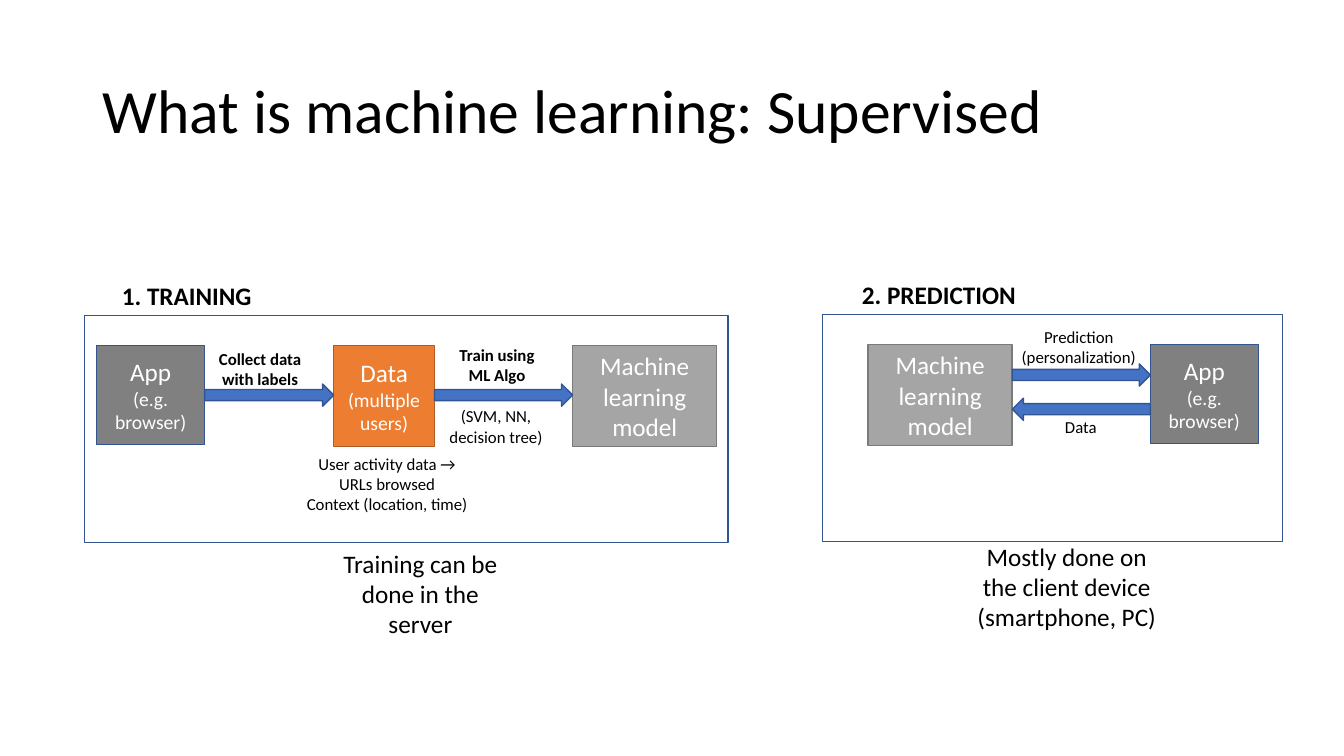
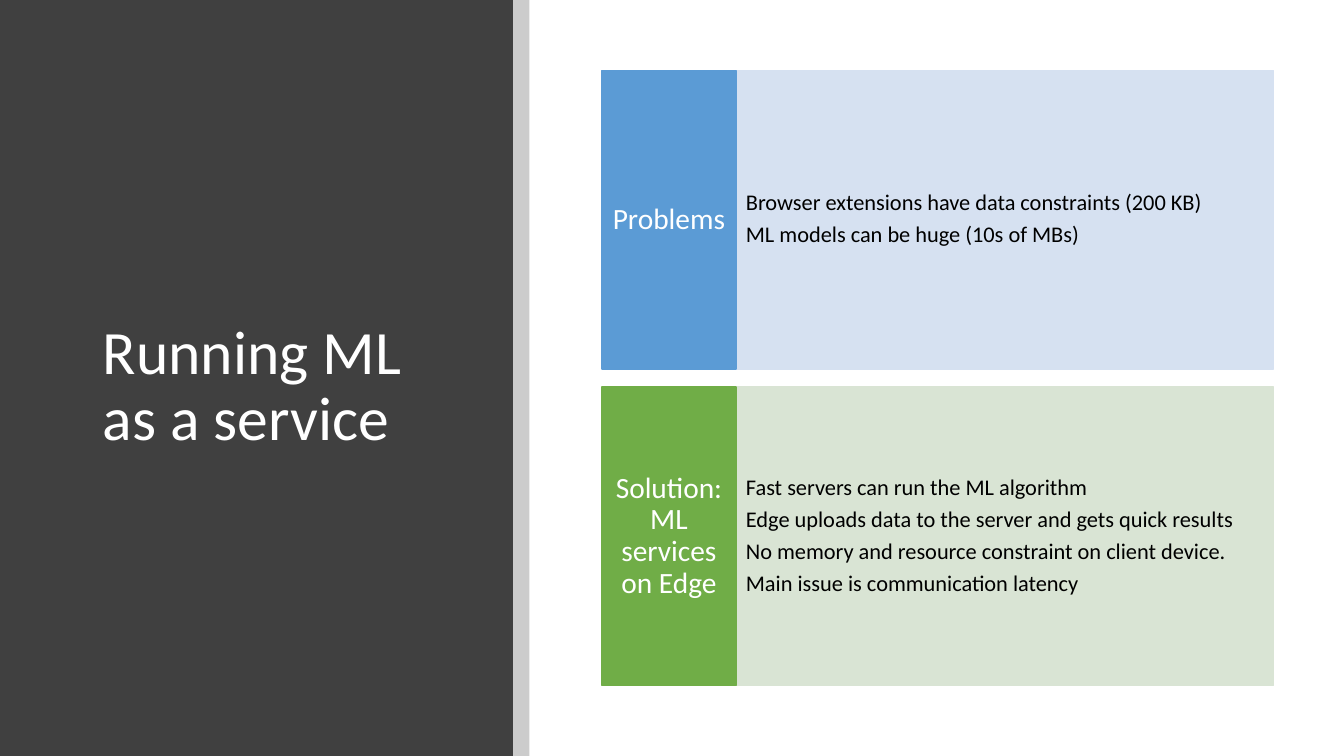
from pptx import Presentation
from pptx.dml.color import RGBColor
from pptx.enum.shapes import MSO_SHAPE
from pptx.enum.text import MSO_ANCHOR, PP_ALIGN
from pptx.util import Inches, Pt

RECTANGLE = MSO_SHAPE.RECTANGLE
RIGHT, LEFT = MSO_SHAPE.RIGHT_ARROW, MSO_SHAPE.LEFT_ARROW
TOP, MIDDLE = MSO_ANCHOR.TOP, MSO_ANCHOR.MIDDLE
ALIGN_LEFT, CENTER = PP_ALIGN.LEFT, PP_ALIGN.CENTER

WIDTH, HEIGHT = 13.33, 7.5
FONT = "Calibri"
BLACK, WHITE = "000000", "FFFFFF"
BLUE, BLUE_EDGE = "4472C4", "325491"
DARK, STRIPE = "404040", "CCCCCC"
MARGIN = 0.92
TITLE_SIZE, HEAD_SIZE, DETAIL_SIZE, LABEL_SIZE = 44, 18, 14, 12
BOX_OFFSET, ARROW_HEIGHT = 0.3, 0.22

# Node: heading, detail, width, height, fill, edge
APP = ("App", "(e.g. browser)", 1.07, 0.98, "808080", BLUE_EDGE)
DATA = ("Data", "(multiple users)", 1.0, 1.0, "ED7D31", "AF5C24")
MODEL = ("Machine learning model", "", 1.43, 1.0, "A5A5A5", "7A7A7A")

# Positions inside a panel are measured from its top left corner.
# Arrow: gap number, top, shape.  Label: centre, top, bold, lines.
PANELS = [
    {
        "heading": "1. TRAINING", "heading_left": 0.27,
        "frame": (0.84, 3.13, 6.38, 2.25),
        "nodes": [APP, DATA, MODEL], "start": 0.12, "gaps": [1.28, 1.37],
        "arrows": [(0, 0.68, RIGHT), (1, 0.68, RIGHT)],
        "labels": [
            (1.74, 0.28, True, ["Collect data", "with labels"]),
            (4.09, 0.24, True, ["Train using", "ML Algo"]),
            (4.08, 0.85, False, ["(SVM, NN,", "decision tree)"]),
            (3.0, 1.32, False, ["User activity data →", "URLs browsed",
                                "Context (location, time)"]),
        ],
        "caption": (3.33, 2.26, ["Training can be done in the server"]),
    },
    {
        "heading": "2. PREDICTION", "heading_left": 0.29,
        "frame": (8.16, 3.12, 4.56, 2.25),
        "nodes": [MODEL, APP], "start": 0.45, "gaps": [1.37],
        "arrows": [(0, 0.49, RIGHT), (0, 0.83, LEFT)],
        "labels": [
            (2.54, 0.07, False, ["Prediction", "(personalization)"]),
            (2.56, 0.97, False, ["Data"]),
        ],
        "caption": (2.42, 2.2, ["Mostly done on the client device",
                                "(smartphone, PC)"]),
    },
]

# Row: name, name fill, body fill, statements
SERVICE_ROWS = [
    ("Problems", "5B9BD5", "D6E1F1", [
        "Browser extensions have data constraints (200 KB)",
        "ML models can be huge (10s of MBs)",
    ]),
    ("Solution: ML services on Edge", "70AD47", "D9E4D4", [
        "Fast servers can run the ML algorithm",
        "Edge uploads data to the server and gets quick results",
        "No memory and resource constraint on client device.",
        "Main issue is communication latency",
    ]),
]


def rgb(value):
    return RGBColor.from_string(value)


def add_lines(shape, lines, sizes, color, align=ALIGN_LEFT, anchor=MIDDLE,
              bold=False, wrap=True, spacing=1.0, after=0, side=0.1):
    """Fill a shape with one paragraph per line; sizes match the lines."""
    frame = shape.text_frame
    frame.word_wrap = wrap
    frame.vertical_anchor = anchor
    frame.margin_left = frame.margin_right = Inches(side)
    frame.text = "\n".join(lines)
    for paragraph, size in zip(frame.paragraphs, sizes):
        paragraph.alignment = align
        paragraph.line_spacing = spacing
        paragraph.space_after = Pt(after)
        for run in paragraph.runs:
            run.font.name = FONT
            run.font.size = Pt(size)
            run.font.bold = bold
            run.font.color.rgb = rgb(color)


def add_shape(slide, kind, area, fill=None, edge=None):
    shape = slide.shapes.add_shape(kind, *map(Inches, area))
    shape.shadow.inherit = False
    if fill:
        shape.fill.solid()
        shape.fill.fore_color.rgb = rgb(fill)
    else:
        shape.fill.background()
    if edge:
        shape.line.color.rgb = rgb(edge)
        shape.line.width = Pt(1)
    else:
        shape.line.fill.background()
    return shape


def add_text(slide, area, lines, size, color=BLACK, **style):
    box = slide.shapes.add_textbox(*map(Inches, area))
    add_lines(box, lines, [size] * len(lines), color, **style)


def add_title(slide, area, text, color):
    add_text(slide, area, [text], TITLE_SIZE, color, spacing=0.9)


def add_centered(slide, center, top, lines, size, bold=False):
    """Place unwrapped lines around a vertical axis."""
    width = 2.0
    height = 0.1 + len(lines) * size * 1.22 / 72
    add_text(slide, (center - width / 2, top, width, height), lines, size,
             align=CENTER, anchor=TOP, bold=bold, wrap=False)


def add_panel(slide, panel):
    left, top, width, height = panel["frame"]
    add_shape(slide, RECTANGLE, panel["frame"], edge=BLUE_EDGE)
    add_text(slide, (left + panel["heading_left"], top - 0.4, 1.75, 0.4),
             [panel["heading"]], HEAD_SIZE, anchor=TOP, bold=True, wrap=False)

    node_left = left + panel["start"]
    gap_starts = []
    for node, gap in zip(panel["nodes"], panel["gaps"] + [0]):
        heading, detail, node_width, node_height, fill, edge = node
        area = (node_left, top + BOX_OFFSET, node_width, node_height)
        box = add_shape(slide, RECTANGLE, area, fill, edge)
        lines = [heading, detail] if detail else [heading]
        add_lines(box, lines, [HEAD_SIZE, DETAIL_SIZE], WHITE, align=CENTER)
        gap_starts.append(node_left + node_width)
        node_left += node_width + gap

    for gap, offset, kind in panel["arrows"]:
        area = (gap_starts[gap], top + offset, panel["gaps"][gap], ARROW_HEIGHT)
        add_shape(slide, kind, area, BLUE, BLUE_EDGE)
    for center, offset, bold, lines in panel["labels"]:
        add_centered(slide, left + center, top + offset, lines, LABEL_SIZE, bold)
    center, offset, lines = panel["caption"]
    add_centered(slide, left + center, top + offset, lines, HEAD_SIZE)


def build_supervised(slide):
    add_title(slide, (MARGIN, 0.4, 11.5, 1.45),
              "What is machine learning: Supervised", BLACK)
    for panel in PANELS:
        add_panel(slide, panel)


def build_service(slide):
    band_width = 5.09
    add_shape(slide, RECTANGLE, (0, 0, band_width, HEIGHT), DARK)
    add_shape(slide, RECTANGLE, (band_width, 0, 0.16, HEIGHT), STRIPE)
    add_title(slide, (MARGIN, 0.89, 3.65, 5.91), "Running ML as a service", WHITE)

    left, top, name_width, body_width = 5.97, 0.7, 1.33, 5.33
    row_height, gap = 2.96, 0.18
    for index, (name, fill, body_fill, statements) in enumerate(SERVICE_ROWS):
        row_top = top + index * (row_height + gap)
        body = add_shape(slide, RECTANGLE,
                         (left + name_width, row_top, body_width, row_height),
                         body_fill, body_fill)
        add_lines(body, statements, [16] * len(statements), BLACK,
                  spacing=0.9, after=5.6)
        label = add_shape(slide, RECTANGLE,
                          (left, row_top, name_width, row_height), fill, fill)
        add_lines(label, [name], [21], WHITE, align=CENTER,
                  spacing=0.9, after=7.35, side=0.07)


def main():
    presentation = Presentation()
    presentation.slide_width = Inches(WIDTH)
    presentation.slide_height = Inches(HEIGHT)
    for build in (build_supervised, build_service):
        build(presentation.slides.add_slide(presentation.slide_layouts[6]))
    presentation.save("out.pptx")


if __name__ == "__main__":
    main()
